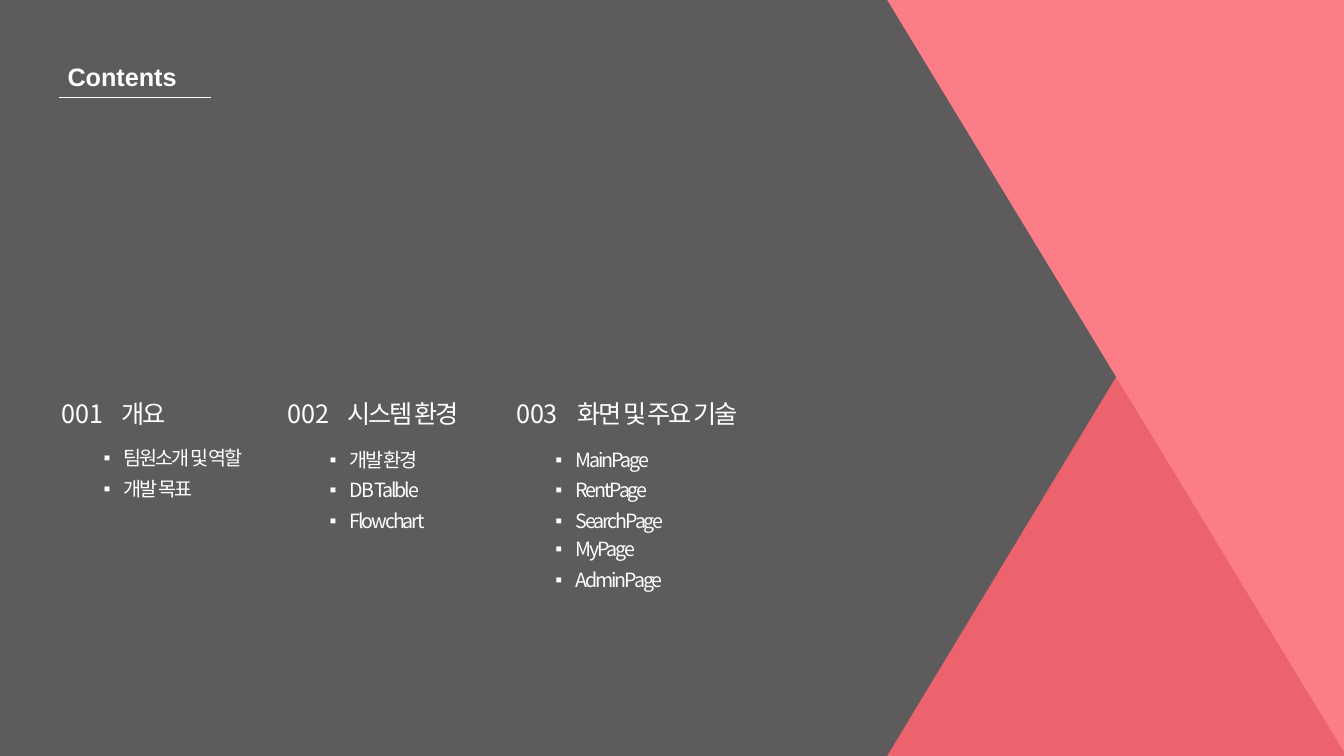
from lxml import etree
from pptx import Presentation
from pptx.dml.color import RGBColor
from pptx.enum.shapes import MSO_CONNECTOR, MSO_SHAPE
from pptx.enum.text import MSO_ANCHOR, MSO_AUTO_SIZE, PP_ALIGN
from pptx.oxml.ns import qn
from pptx.util import Inches, Pt

STRAIGHT = MSO_CONNECTOR.STRAIGHT
RIGHT_TRIANGLE = MSO_SHAPE.RIGHT_TRIANGLE
TOP = MSO_ANCHOR.TOP
LEFT = PP_ALIGN.LEFT
FIT_SHAPE = MSO_AUTO_SIZE.SHAPE_TO_FIT_TEXT

WHITE = RGBColor(0xFF, 0xFF, 0xFF)
GRAY = RGBColor(0x5D, 0x5B, 0x5B)
CORAL = RGBColor(0xED, 0x63, 0x6D)
PINK = RGBColor(0xFA, 0x7D, 0x87)

TITLE_FONT = "Arial"
BULLET_FONT = "Arial"
BODY_FONT = "Noto Sans CJK KR"
TIGHT = -150
HEADING_TOP = 3.9
LIST_WIDTH = 1.63

# number, number left, heading, heading left, heading width
SECTIONS = [
    ("001", 0.51, "개요", 1.11, 0.68),
    ("002", 2.75, "시스템 환경", 3.35, 1.43),
    ("003", 5.02, "화면 및 주요 기술", 5.63, 2.01),
]

# left, top, width, topics
TOPIC_LISTS = [
    (0.93, 4.31, 1.94, ["팀원소개 및 역할", "개발 목표"]),
    (3.17, 4.32, LIST_WIDTH, ["개발 환경", "DB Talble", "Flowchart"]),
    (5.41, 4.32, LIST_WIDTH, ["MainPage", "RentPage", "SearchPage"]),
    (5.41, 5.21, LIST_WIDTH, ["MyPage", "AdminPage"]),
]


def add_run(paragraph, text, size, font=BODY_FONT, bold=False, spacing=0):
    """Add white text; spacing is in hundredths of a point."""
    run = paragraph.add_run()
    run.text = text
    run.font.size = Pt(size)
    run.font.bold = bold
    run.font.color.rgb = WHITE
    run.font.name = font
    properties = run.font._element
    etree.SubElement(properties, qn("a:ea"), typeface=font)
    if spacing:
        properties.set("spc", str(spacing))


def add_bullet(paragraph):
    properties = paragraph._p.get_or_add_pPr()
    properties.set("marL", str(Inches(0.2)))
    properties.set("indent", str(Inches(-0.2)))
    color = etree.SubElement(properties, qn("a:buClr"))
    etree.SubElement(color, qn("a:srgbClr"), val=str(WHITE))
    etree.SubElement(properties, qn("a:buFont"), typeface=BULLET_FONT)
    etree.SubElement(properties, qn("a:buChar"), char="▪")


def add_title(slide, text):
    title = slide.shapes.title
    title.left, title.top = Inches(0.57), Inches(0.56)
    title.width, title.height = Inches(1.5), Inches(0.4)
    frame = title.text_frame
    frame.word_wrap = True
    frame.auto_size = FIT_SHAPE
    frame.vertical_anchor = TOP
    paragraph = frame.paragraphs[0]
    paragraph.alignment = LEFT
    paragraph.line_spacing = 1.0
    paragraph.space_before = Pt(0)
    add_run(paragraph, text, 18, TITLE_FONT, bold=True)


def add_text_frame(slide, left, top, width, height, wrap):
    box = slide.shapes.add_textbox(
        Inches(left), Inches(top), Inches(width), Inches(height))
    frame = box.text_frame
    frame.word_wrap = wrap
    frame.auto_size = FIT_SHAPE
    return frame


def add_heading(slide, text, left, width, spacing=0):
    frame = add_text_frame(slide, left, HEADING_TOP, width, 0.4, wrap=False)
    add_run(frame.paragraphs[0], text, 18, spacing=spacing)


def add_topics(slide, left, top, width, topics):
    height = 0.08 + 0.31 * len(topics)
    frame = add_text_frame(slide, left, top, width, height, wrap=True)
    for index, topic in enumerate(topics):
        paragraph = frame.add_paragraph() if index else frame.paragraphs[0]
        paragraph.line_spacing = 1.3
        add_bullet(paragraph)
        add_run(paragraph, topic, 14, spacing=TIGHT)


def add_corner_triangle(slide, height, color, flips):
    """Add a right triangle against the right edge, mirrored by the given flips."""
    triangle = slide.shapes.add_shape(
        RIGHT_TRIANGLE, Inches(8.8), Inches(0), Inches(4.53), Inches(height))
    triangle.shadow.inherit = False
    triangle.fill.solid()
    triangle.fill.fore_color.rgb = color
    triangle.line.fill.background()
    transform = triangle._element.spPr.get_or_add_xfrm()
    for flip in flips:
        transform.set(flip, "1")


def add_title_rule(slide):
    rule = slide.shapes.add_connector(
        STRAIGHT, Inches(0.59), Inches(0.97), Inches(2.09), Inches(0.97))
    rule.line.color.rgb = WHITE
    rule.line.width = Pt(0.75)
    etree.SubElement(rule._element.spPr, qn("a:effectLst"))


def main():
    presentation = Presentation()
    presentation.slide_width = Inches(13.33)
    presentation.slide_height = Inches(7.5)
    title_only = presentation.slide_layouts[5]
    slide = presentation.slides.add_slide(title_only)
    slide.background.fill.solid()
    slide.background.fill.fore_color.rgb = GRAY

    add_title(slide, "Contents")
    for number, number_left, heading, heading_left, width in SECTIONS:
        add_heading(slide, number, number_left, 0.67)
        add_heading(slide, heading, heading_left, width, TIGHT)
    for left, top, width, topics in TOPIC_LISTS:
        add_topics(slide, left, top, width, topics)
    add_corner_triangle(slide, 7.5, CORAL, ["flipH"])
    add_corner_triangle(slide, 7.46, PINK, ["flipH", "flipV"])
    add_title_rule(slide)
    presentation.save("out.pptx")


if __name__ == "__main__":
    main()
